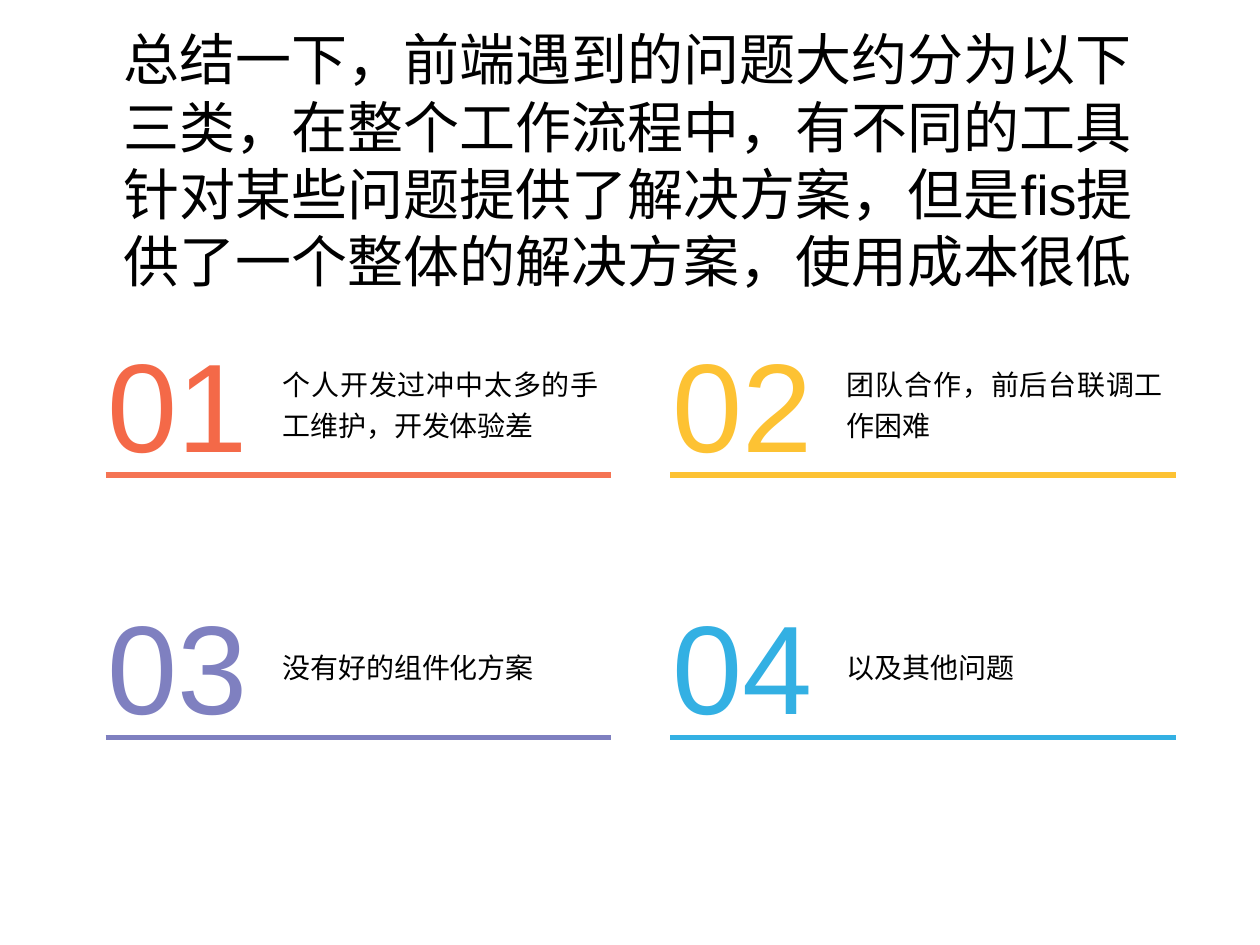
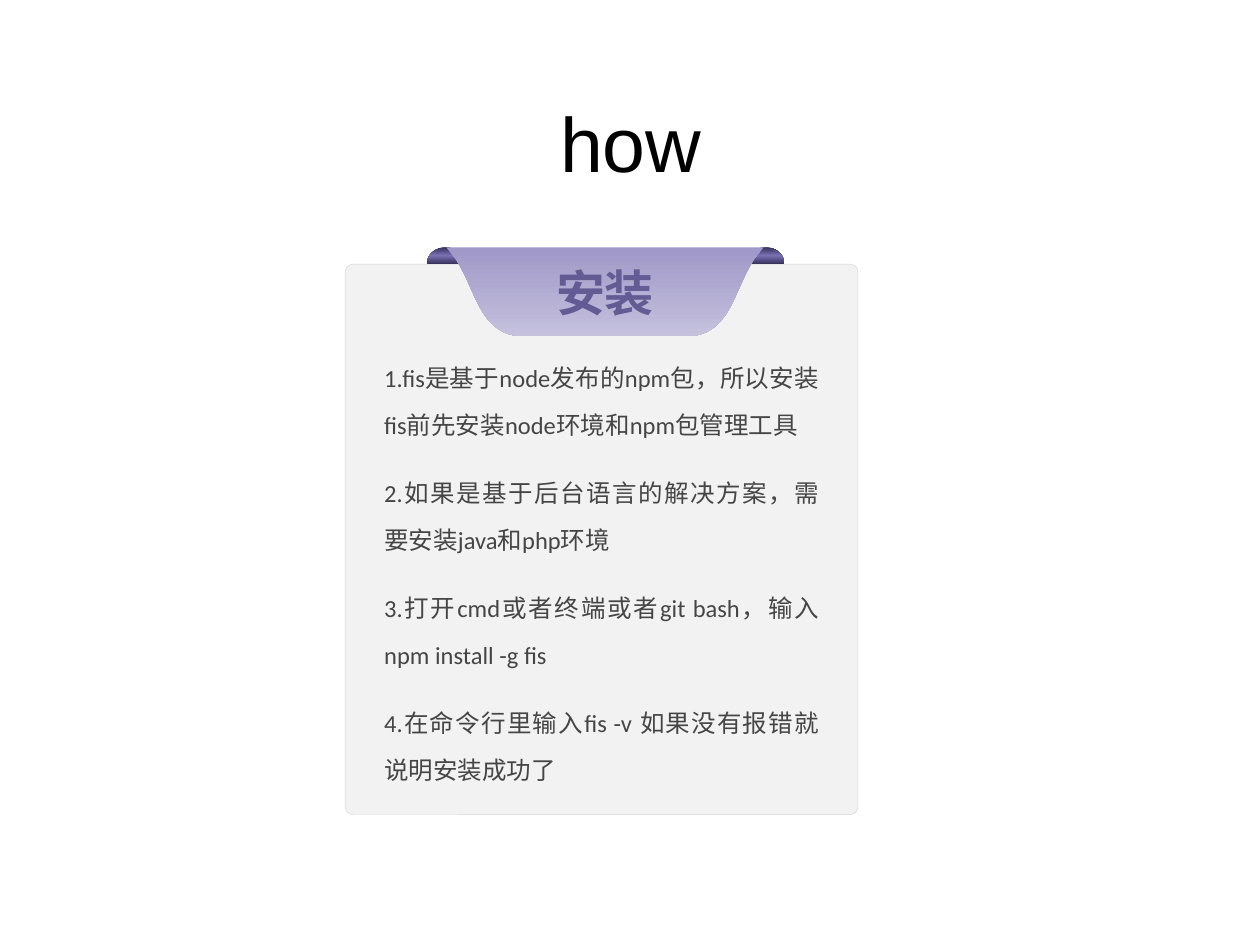
from math import cos, pi, sin
from copy import deepcopy

from lxml.etree import SubElement
from pptx import Presentation
from pptx.dml.color import RGBColor
from pptx.enum.shapes import MSO_CONNECTOR, MSO_SHAPE
from pptx.enum.text import MSO_ANCHOR, MSO_AUTO_SIZE, PP_ALIGN
from pptx.oxml.ns import qn
from pptx.util import Pt

BLACK, BODY = "000000", "454545"
CARD_FILL, CARD_LINE = "F2F2F2", "D5D5D5"
ROLL = ["36305A", "7A71B3", "36305A"]
RIBBON, RIBBON_TEXT = ["9F98C8", "C5C1DD"], "635B93"
CJK = "Noto Sans CJK SC"

PROBLEMS = [
    ("01", "个人开发过冲中太多的手工维护，开发体验差", "F46948", "F57454"),
    ("02", "团队合作，前后台联调工作困难", "FDC233", "FDC233"),
    ("03", "没有好的组件化方案", "7F80C0", "7F80C0"),
    ("04", "以及其他问题", "33B0E3", "33B0E3"),
]
STEPS = [
    "1.fis是基于node发布的npm包，所以安装fis前先安装node环境和npm包管理工具",
    "2.如果是基于后台语言的解决方案，需要安装java和php环境",
    "3.打开cmd或者终端或者git bash，输入npm install -g fis",
    "4.在命令行里输入fis -v 如果没有报错就说明安装成功了",
]


def rgb(value):
    return RGBColor.from_string(value)


def write(tf, text, size=16, color=BLACK, font="Arial", bold=False,
          align=PP_ALIGN.CENTER, spacing=None, gap=0, inset=(7.2, 3.6, 7.2, 3.6)):
    """Fill a text frame, one paragraph per line of text."""
    tf.word_wrap = True
    tf.auto_size = MSO_AUTO_SIZE.NONE
    tf.vertical_anchor = MSO_ANCHOR.MIDDLE
    tf.margin_left, tf.margin_top, tf.margin_right, tf.margin_bottom = map(Pt, inset)
    for i, line in enumerate(text.split("\n")):
        p = tf.paragraphs[0] if i == 0 else tf.add_paragraph()
        p.alignment = align
        p.line_spacing = spacing
        p.space_before = Pt(gap if i else 0)
        p.space_after = Pt(gap)
        r = p.add_run()
        r.text = line
        r.font.size, r.font.name, r.font.bold = Pt(size), font, bold
        r.font.color.rgb = rgb(color)
        SubElement(r.font._element, qn("a:ea")).set("typeface", font)


def add_text(s, x, y, w, h, text, **fmt):
    write(s.shapes.add_textbox(Pt(x), Pt(y), Pt(w), Pt(h)).text_frame, text, **fmt)


def add_titled_slide(prs, text, box, size):
    s = prs.slides.add_slide(prs.slide_layouts[5])
    title = s.shapes.title
    title.left, title.top, title.width, title.height = map(Pt, box)
    write(title.text_frame, text, size=size)
    return s


def add_outline(s, x, y, points, colors):
    """Draw a closed outline filled with evenly spaced colours, top to bottom."""
    pts = [(Pt(x + px), Pt(y + py)) for px, py in points]
    builder = s.shapes.build_freeform(*pts[0])
    builder.add_line_segments(pts[1:], close=True)
    sp = builder.convert_to_shape()
    sp.shadow.inherit = False
    sp.line.fill.background()
    sp.fill.gradient()
    sp.fill.gradient_angle = 270
    stops = sp._element.spPr.find(qn("a:gradFill")).find(qn("a:gsLst"))
    while len(stops) < len(colors):
        stops.append(deepcopy(stops[0]))
    for i, (stop, color) in enumerate(zip(sp.fill.gradient_stops, colors)):
        stop.color.rgb = rgb(color)
        stop.position = i / (len(colors) - 1)
    return sp


def bezier(a, b, c, d, steps=16):
    return [tuple((1 - t) ** 3 * p + 3 * (1 - t) ** 2 * t * q
                  + 3 * (1 - t) * t ** 2 * u + t ** 3 * v
                  for p, q, u, v in zip(a, b, c, d))
            for t in (i / steps for i in range(steps + 1))]


def add_problem(s, x, y, number, text, color, rule_color):
    """Large number, its problem and the rule below them."""
    add_text(s, x, y, 99.4, 87, number, size=72, color=color, inset=(7.2, 0, 0, 0))
    add_text(s, x + 106, y + 5, 195, 77, text, align=PP_ALIGN.JUSTIFY, spacing=1.2)
    rule = s.shapes.add_connector(MSO_CONNECTOR.STRAIGHT, Pt(x + 12), Pt(y + 85.5),
                                  Pt(x + 301), Pt(y + 85.5))
    rule.line.color.rgb = rgb(rule_color)
    rule.line.width = Pt(3)
    SubElement(rule._element.spPr, qn("a:effectLst"))


def add_card(s, x, y, w, h):
    card = s.shapes.add_shape(MSO_SHAPE.ROUNDED_RECTANGLE, Pt(x), Pt(y), Pt(w), Pt(h))
    card.adjustments[0] = 0.015
    card.shadow.inherit = False
    card.fill.solid()
    card.fill.fore_color.rgb = rgb(CARD_FILL)
    card.line.color.rgb = rgb(CARD_LINE)
    card.line.width = Pt(0.25)
    write(card.text_frame, "\n".join(STEPS), size=14, color=BODY, font="Calibri",
          align=PP_ALIGN.JUSTIFY, spacing=1.6, gap=6, inset=(21, 56, 21, 27))


def add_ribbon(s, x, y, w, h):
    # Half-round roll ends behind the ribbon
    roll_w, roll_h = 21.4, 9.6
    arc = [(roll_w / 2 * (1 - cos(pi * i / 24)), roll_h * (1 - sin(pi * i / 24)))
           for i in range(25)]
    for roll_x in (x - 11, x + w - 9.6):
        add_outline(s, roll_x, y, arc, ROLL)
    # Hanging ribbon, mirrored about its middle
    left = [(0, 0)] + bezier((5.5, 7), (17.5, 25), (19, h), (45, h))
    right = [(w - px, py) for px, py in reversed(left)]
    ribbon = add_outline(s, x, y, left + right, RIBBON)
    write(ribbon.text_frame, "安装", size=28, color=RIBBON_TEXT, font=CJK, bold=True)


def build_summary(prs):
    s = add_titled_slide(
        prs, "总结一下，前端遇到的问题大约分为以下三类，在整个工作流程中，有不同的工具"
        "针对某些问题提供了解决方案，但是fis提供了一个整体的解决方案，使用成本很低",
        (48, 49, 622, 84), 32)
    for i, problem in enumerate(PROBLEMS):
        row, col = divmod(i, 2)
        add_problem(s, 48.4 + col * 322.5, 186 + row * 150, *problem)


def build_install(prs):
    s = add_titled_slide(prs, "how", (49.7, 28.8, 621.4, 104.4), 44)
    add_card(s, 197.3, 151, 293, 314.6)
    add_ribbon(s, 255, 141.3, 181.4, 51)


def main():
    prs = Presentation()
    prs.slide_width, prs.slide_height = Pt(720), Pt(540)
    build_summary(prs)
    build_install(prs)
    prs.save("out.pptx")


if __name__ == "__main__":
    main()
